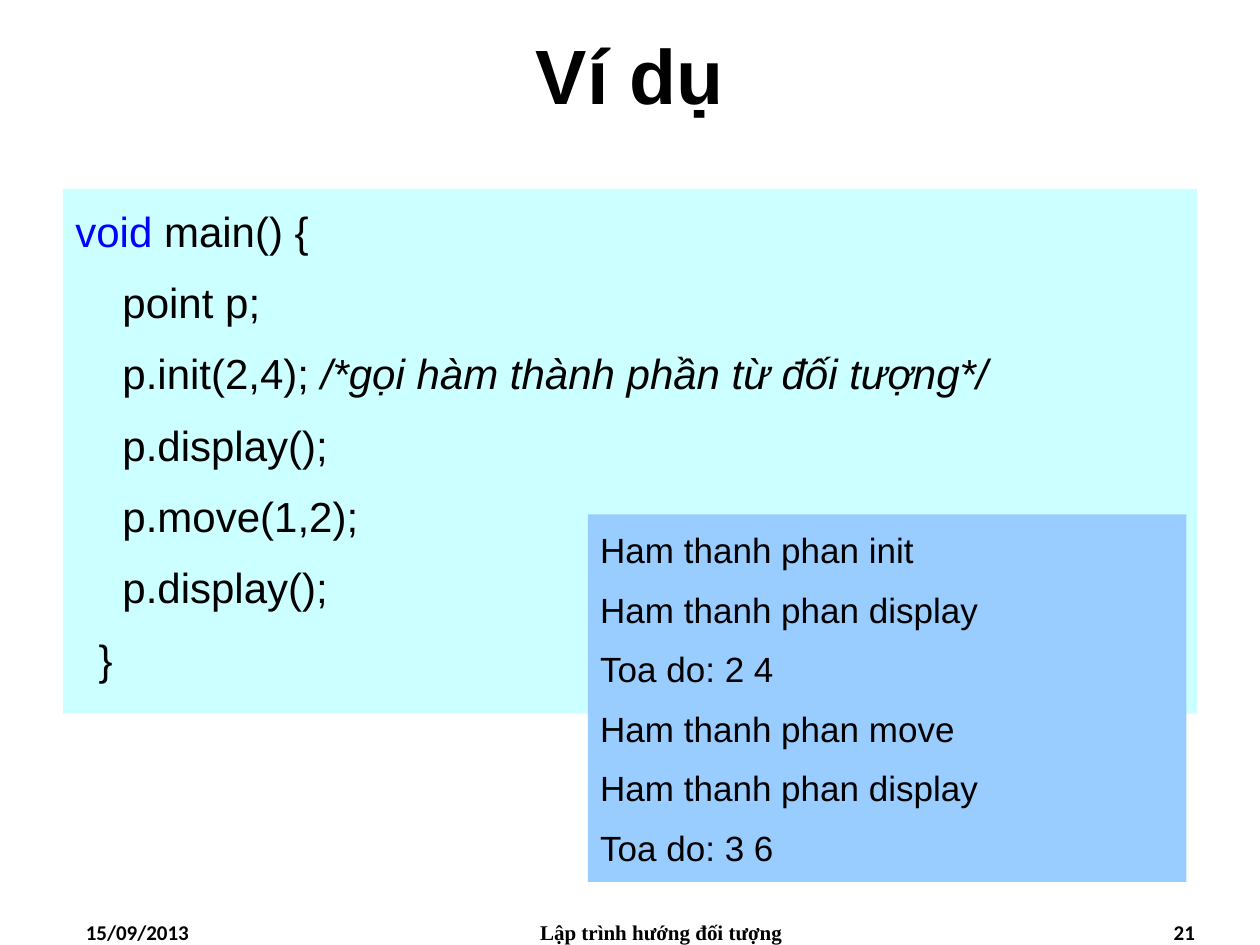
from pptx import Presentation
from pptx.dml.color import RGBColor
from pptx.enum.shapes import MSO_SHAPE
from pptx.enum.text import MSO_ANCHOR, PP_ALIGN
from pptx.util import Cm, Pt


def color(value):
    return RGBColor.from_string(value)


def add_run(p, text, size=24, font="Arial", fill="000000", bold=False, italic=False):
    r = p.add_run()
    r.text = text
    r.font.size = Pt(size)
    r.font.name = font
    r.font.bold = bold
    r.font.italic = italic
    r.font.color.rgb = color(fill)


class Deck:
    line_spacing = 1.2
    space_ratio = 0.26

    def __init__(self):
        self.prs = Presentation()
        self.prs.slide_width = Cm(25.4)
        self.prs.slide_height = Cm(19.05)
        self.s = self.prs.slides.add_slide(self.prs.slide_layouts[6])

    def label(self, text, box, align, anchor=MSO_ANCHOR.TOP, **style):
        sp = self.s.shapes.add_textbox(*map(Cm, box))
        tf = sp.text_frame
        tf.word_wrap = True
        tf.vertical_anchor = anchor
        p = tf.paragraphs[0]
        p.alignment = align
        add_run(p, text, bold=True, **style)

    def panel(self, lines, box, fill, size):
        sp = self.s.shapes.add_shape(MSO_SHAPE.RECTANGLE, *map(Cm, box))
        sp.shadow.inherit = False
        sp.fill.solid()
        sp.fill.fore_color.rgb = color(fill)
        sp.line.fill.background()
        tf = sp.text_frame
        tf.word_wrap = True
        tf.vertical_anchor = MSO_ANCHOR.TOP
        for i, (indent, runs) in enumerate(lines):
            p = tf.add_paragraph() if i else tf.paragraphs[0]
            p.alignment = PP_ALIGN.LEFT
            p.line_spacing = self.line_spacing
            p.space_before = Pt(round(size * self.space_ratio, 1))
            p._p.get_or_add_pPr().set("marL", str(Cm(indent)))
            for text, style in runs:
                add_run(p, text, size=size, **style)


def main():
    deck = Deck()
    deck.label("Ví dụ", (0, 0, 25.4, 2.97), PP_ALIGN.CENTER, MSO_ANCHOR.MIDDLE, size=44)

    footers = [
        ("15/09/2013", 1.48, 5.92, PP_ALIGN.LEFT, "Calibri"),
        ("Lập trình hướng đối tượng", 9.31, 8.04, PP_ALIGN.CENTER, "Times New Roman"),
        ("21", 18.42, 5.92, PP_ALIGN.RIGHT, "Calibri"),
    ]
    for text, left, width, align, font in footers:
        deck.label(text, (left, 18.42, width, 0.63), align, size=12, font=font)

    body = 0.95
    code = [
        (0, [("void", {"fill": "0000FF"}), (" main() {", {})]),
        (body, [("point p;", {})]),
        (body, [("p.init(2,4); ", {}),
                ("/*gọi hàm thành phần từ đối tượng*/", {"italic": True})]),
        (body, [("p.display();", {})]),
        (body, [("p.move(1,2);", {})]),
        (body, [("p.display();", {})]),
        (0.47, [("}", {})]),
    ]
    deck.panel(code, (1.27, 3.81, 22.86, 10.58), "CCFFFF", 24)

    output = [
        "Ham thanh phan init",
        "Ham thanh phan display",
        "Toa do: 2 4",
        "Ham thanh phan move",
        "Ham thanh phan display",
        "Toa do: 3 6",
    ]
    deck.panel([(0, [(text, {})]) for text in output],
               (11.85, 10.37, 12.07, 7.41), "99CCFF", 20)
    deck.prs.save("out.pptx")


if __name__ == "__main__":
    main()
